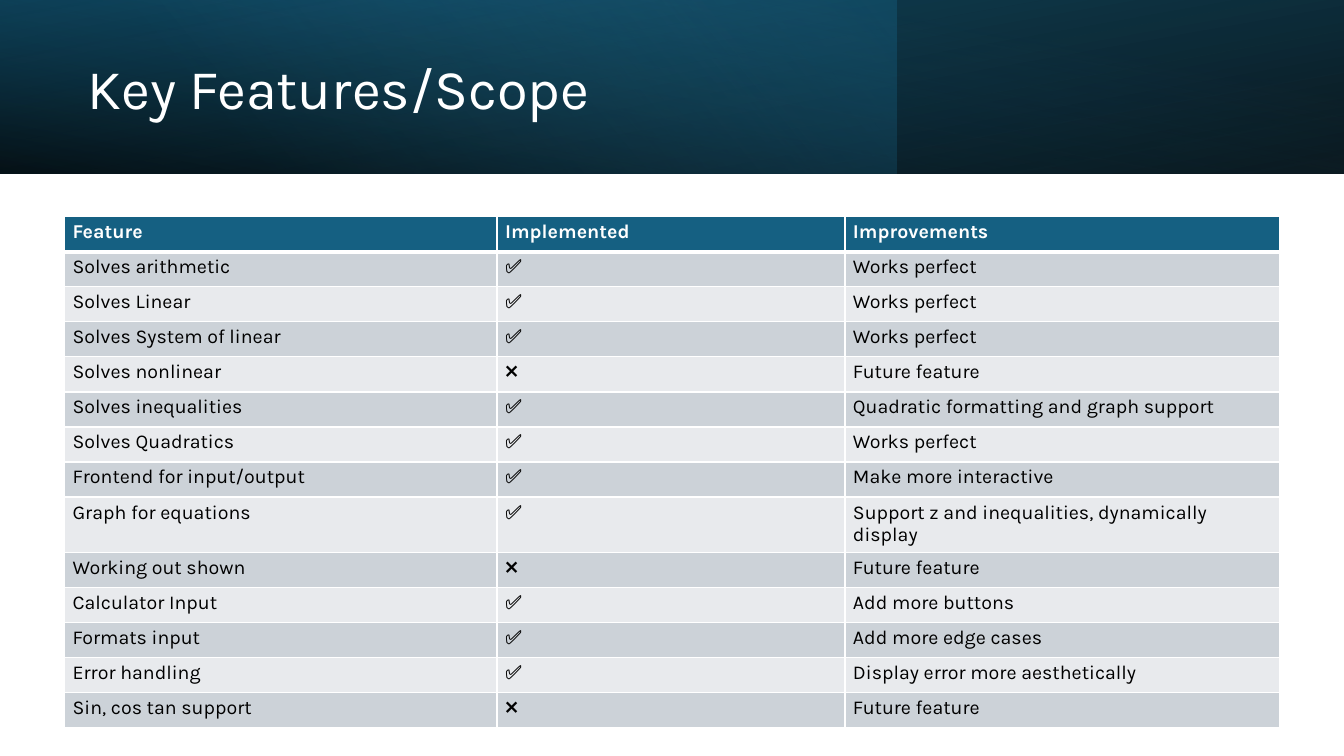
from lxml import etree
from pptx import Presentation
from pptx.dml.color import RGBColor
from pptx.enum.shapes import MSO_SHAPE
from pptx.enum.text import MSO_ANCHOR
from pptx.oxml import parse_xml
from pptx.oxml.ns import nsdecls, qn
from pptx.util import Inches, Pt

WHITE = RGBColor(0xFF, 0xFF, 0xFF)
BLACK = RGBColor(0x00, 0x00, 0x00)
DEEP_TEAL = RGBColor(0x10, 0x48, 0x62)
TEAL = RGBColor(0x15, 0x60, 0x82)
SKY = RGBColor(0x46, 0xB1, 0xE1)
DARK_BAND = RGBColor(0xCC, 0xD2, 0xD8)
LIGHT_BAND = RGBColor(0xE8, 0xEA, 0xED)
FONT = "Karla"


def set_gradient(shape, stops, angle):
    """Fill a shape with (position %, colour, opacity %) stops."""
    stop_xml = "".join(
        f'<a:gs pos="{position * 1000}"><a:srgbClr val="{color}">'
        f'<a:alpha val="{opacity * 1000}"/></a:srgbClr></a:gs>'
        for position, color, opacity in stops)
    gradient = parse_xml(
        f'<a:gradFill {nsdecls("a")} rotWithShape="1"><a:gsLst>{stop_xml}</a:gsLst>'
        f'<a:lin ang="{angle * 60000}" scaled="0"/></a:gradFill>')
    shape.fill.background()
    properties = shape.fill._xPr
    properties.replace(properties.find(qn("a:noFill")), gradient)


def set_borders(cell, widths):
    """Draw white cell borders, widths in points by side."""
    properties = cell._tc.get_or_add_tcPr()
    for index, (side, width) in enumerate(widths.items()):
        line = etree.Element(qn(f"a:ln{side}"), w=str(Pt(width)))
        fill = etree.SubElement(line, qn("a:solidFill"))
        etree.SubElement(fill, qn("a:srgbClr"), val=str(WHITE))
        properties.insert(index, line)


deck = Presentation()
deck.slide_width, deck.slide_height = Inches(13.33), Inches(7.5)
page = deck.slides.add_slide(deck.slide_layouts[6])

# Header band: three layered gradients
header_layers = [
    (13.33, 180, True, [(0, BLACK, 96), (100, DEEP_TEAL, 100)], 100),
    (8.89, 0, False, [(0, TEAL, 41), (74, SKY, 0)], 140),
    (13.33, 0, True, [(0, BLACK, 63), (78, TEAL, 15)], 260),
]
for width, rotation, flipped, stops, angle in header_layers:
    layer = page.shapes.add_shape(
        MSO_SHAPE.RECTANGLE, 0, 0, Inches(width), Inches(1.72))
    layer.shadow.inherit = False
    layer.line.fill.background()
    layer.rotation = rotation
    if flipped:
        layer._element.spPr.find(qn("a:xfrm")).set("flipH", "1")
    set_gradient(layer, stops, angle)

# Title
title = page.shapes.add_textbox(Inches(0.77), Inches(0.27), Inches(7.72), Inches(1.27))
title.text_frame.word_wrap = True
title.text_frame.vertical_anchor = MSO_ANCHOR.MIDDLE
para = title.text_frame.paragraphs[0]
para.line_spacing = 0.9
span = para.add_run()
span.text = "Key Features/Scope"
for name, value in {"name": FONT, "size": Pt(40)}.items():
    setattr(span.font, name, value)
span.font.color.rgb = WHITE

# Feature table
rows = [
    ("Feature", "Implemented", "Improvements"),
    ("Solves arithmetic", "✅", "Works perfect"),
    ("Solves Linear", "✅", "Works perfect"),
    ("Solves System of linear", "✅", "Works perfect"),
    ("Solves nonlinear", "❌", "Future feature"),
    ("Solves inequalities", "✅", "Quadratic formatting and graph support"),
    ("Solves Quadratics", "✅", "Works perfect"),
    ("Frontend for input/output", "✅", "Make more interactive"),
    ("Graph for equations", "✅", "Support z and inequalities, dynamically display"),
    ("Working out shown", "❌", "Future feature"),
    ("Calculator Input", "✅", "Add more buttons"),
    ("Formats input", "✅", "Add more edge cases"),
    ("Error handling", "✅", "Display error more aesthetically"),
    ("Sin, cos tan support", "❌", "Future feature"),
]
column_widths = [4.29, 3.45, 4.31]
table_height = 4.87
table = page.shapes.add_table(
    len(rows), len(column_widths), Inches(0.64), Inches(2.15),
    Inches(sum(column_widths)), Inches(table_height)).table
for column, width in zip(table.columns, column_widths):
    column.width = Inches(width)

cell_margins = {"margin_left": Inches(0.08), "margin_right": Inches(0.08),
                "margin_top": Inches(0.04), "margin_bottom": Inches(0.04)}
for row_index, texts in enumerate(rows):
    table.rows[row_index].height = Inches(table_height / len(rows))
    is_header = row_index == 0
    band = TEAL if is_header else DARK_BAND if row_index % 2 else LIGHT_BAND
    borders = {"L": 1, "R": 1, "T": 3 if row_index == 1 else 1,
               "B": 3 if is_header else 1}
    for column_index, text in enumerate(texts):
        cell = table.cell(row_index, column_index)
        for name, value in cell_margins.items():
            setattr(cell, name, value)
        cell.fill.solid()
        cell.fill.fore_color.rgb = band
        set_borders(cell, borders)
        span = cell.text_frame.paragraphs[0].add_run()
        span.text = text
        for name, value in {"name": FONT, "size": Pt(14), "bold": is_header}.items():
            setattr(span.font, name, value)
        span.font.color.rgb = WHITE if is_header else BLACK

deck.save("out.pptx")
